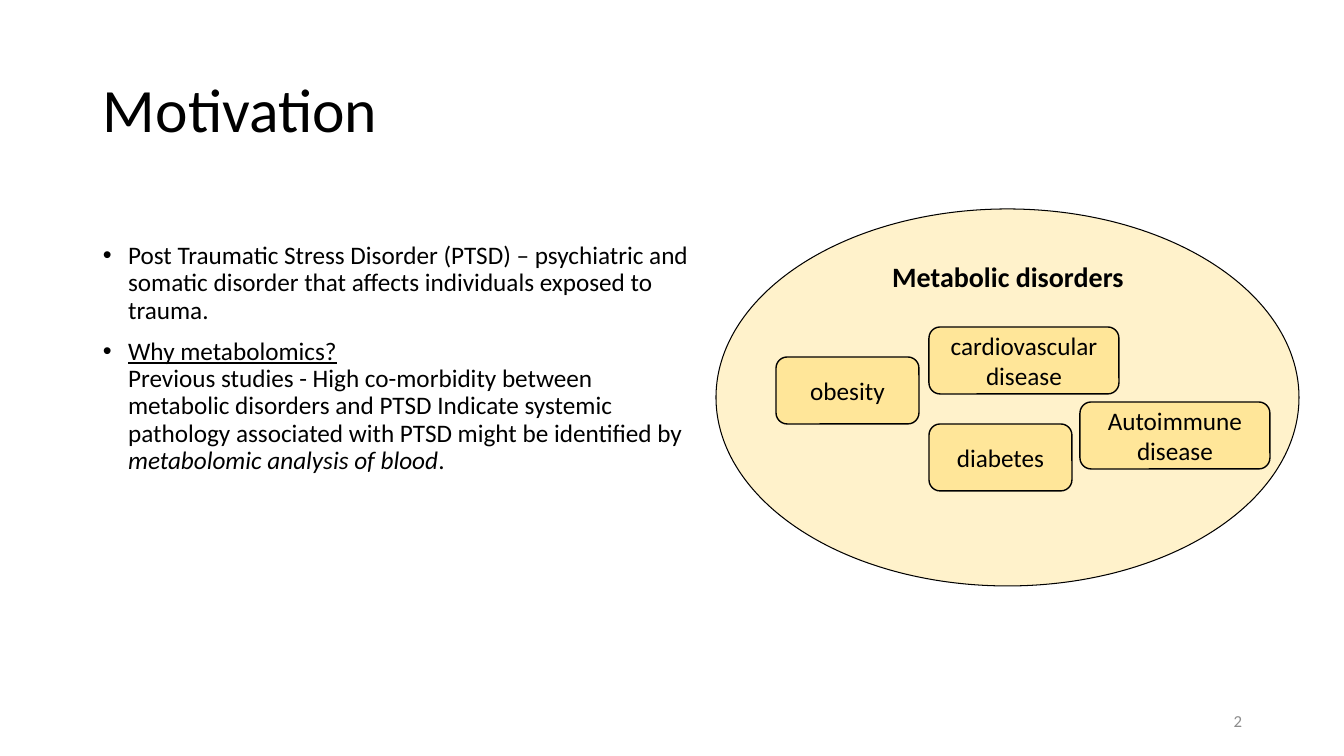
from dataclasses import dataclass

from lxml.etree import SubElement
from pptx import Presentation
from pptx.dml.color import RGBColor
from pptx.enum.shapes import MSO_SHAPE as Shape
from pptx.enum.text import MSO_ANCHOR as Anchor, PP_ALIGN as Align
from pptx.oxml.ns import qn
from pptx.util import Pt

PIXEL = 914400 / 100.8  # EMU in one pixel


def px(length):
    return round(length * PIXEL)


@dataclass(frozen=True)
class Theme:
    font: str = "Calibri"
    ink: str = "000000"
    muted: str = "8C8C8C"
    yellow: str = "FFE699"
    title: int = 44
    heading: int = 20
    body: int = 18
    small: int = 12


THEME = Theme()


def write(paragraph, text, size=THEME.body, color=THEME.ink, **style):
    """Add text to a paragraph; style holds font flags such as bold=True."""
    for index, line in enumerate(text.split("\n")):
        if index:
            paragraph.add_line_break()
        if line:
            run = paragraph.add_run()
            run.text = line
            run.font.name = THEME.font
            run.font.size = Pt(size)
            run.font.color.rgb = RGBColor.from_string(color)
            for name, value in style.items():
                setattr(run.font, name, value)


class SlideBuilder:
    def __init__(self, slide, theme):
        self.slide = slide
        self.theme = theme

    def text_box(self, box, anchor=Anchor.TOP, wrap=True):
        frame = self.slide.shapes.add_textbox(*map(px, box)).text_frame
        frame.word_wrap = wrap
        frame.vertical_anchor = anchor
        return frame

    def label(self, box, text, align=Align.LEFT, anchor=Anchor.MIDDLE,
              wrap=True, spacing=1.0, **style):
        paragraph = self.text_box(box, anchor, wrap).paragraphs[0]
        paragraph.alignment = align
        paragraph.line_spacing = spacing
        write(paragraph, text, **style)

    def bullets(self, box, items):
        frame = self.text_box(box)
        for index, pieces in enumerate(items):
            paragraph = frame.add_paragraph() if index else frame.paragraphs[0]
            paragraph.line_spacing = 0.9
            paragraph.space_before = Pt(10)
            properties = paragraph._p.get_or_add_pPr()
            properties.set("marL", str(Pt(18)))
            properties.set("indent", str(-Pt(18)))
            SubElement(properties, qn("a:buFont"), typeface="Arial")
            SubElement(properties, qn("a:buChar"), char="•")
            for text, style in pieces:
                write(paragraph, text, **style)

    def shape(self, kind, box, line=1.0, opacity=None, text=""):
        shape = self.slide.shapes.add_shape(kind, *map(px, box))
        shape.shadow.inherit = False
        shape.fill.solid()
        shape.fill.fore_color.rgb = RGBColor.from_string(self.theme.yellow)
        if opacity is not None:
            color = shape.fill._xPr.find(qn("a:solidFill"))[0]
            SubElement(color, qn("a:alpha"), val=str(opacity * 1000))
        shape.line.color.rgb = RGBColor.from_string(self.theme.ink)
        shape.line.width = Pt(line)
        if text:
            frame = shape.text_frame
            frame.word_wrap = True
            frame.vertical_anchor = Anchor.MIDDLE
            frame.paragraphs[0].alignment = Align.CENTER
            write(frame.paragraphs[0], text)


presentation = Presentation()
presentation.slide_width = px(1344)
presentation.slide_height = px(756)
slide = presentation.slides.add_slide(presentation.slide_layouts[6])
builder = SlideBuilder(slide, THEME)

# Title and argument
builder.label((93, 40, 1159, 146), "Motivation", spacing=0.9, size=THEME.title)
builder.bullets((93, 238, 613, 310), [
    [("Post Traumatic Stress Disorder (PTSD) – psychiatric and somatic "
      "disorder that affects individuals exposed to trauma.", {})],
    [("Why metabolomics?\n", {"underline": True}),
     ("Previous studies - High co-morbidity between metabolic disorders and "
      "PTSD Indicate systemic pathology associated with PTSD might be "
      "identified by ", {}),
     ("metabolomic analysis of blood", {"italic": True}),
     (".", {})],
])

# Metabolic disorders and their members
builder.shape(Shape.OVAL, (716, 209, 583, 377), line=0.75, opacity=50)
NARROW, WIDE, HEIGHT = 143, 190, 67
for left, top, width, disorder in [
    (776, 357, NARROW, "obesity"),
    (929, 424, NARROW, "diabetes"),
    (929, 327, WIDE, "cardiovascular disease"),
    (1080, 402, WIDE, "Autoimmune disease"),
]:
    builder.shape(Shape.ROUNDED_RECTANGLE, (left, top, width, HEIGHT),
                  text=disorder)
builder.label((881, 255, 254, 44), "Metabolic disorders", align=Align.CENTER,
              anchor=Anchor.TOP, wrap=False, size=THEME.heading, bold=True)

# Slide number
builder.label((950, 701, 302, 40), "2", align=Align.RIGHT,
              size=THEME.small, color=THEME.muted)

presentation.save("out.pptx")
